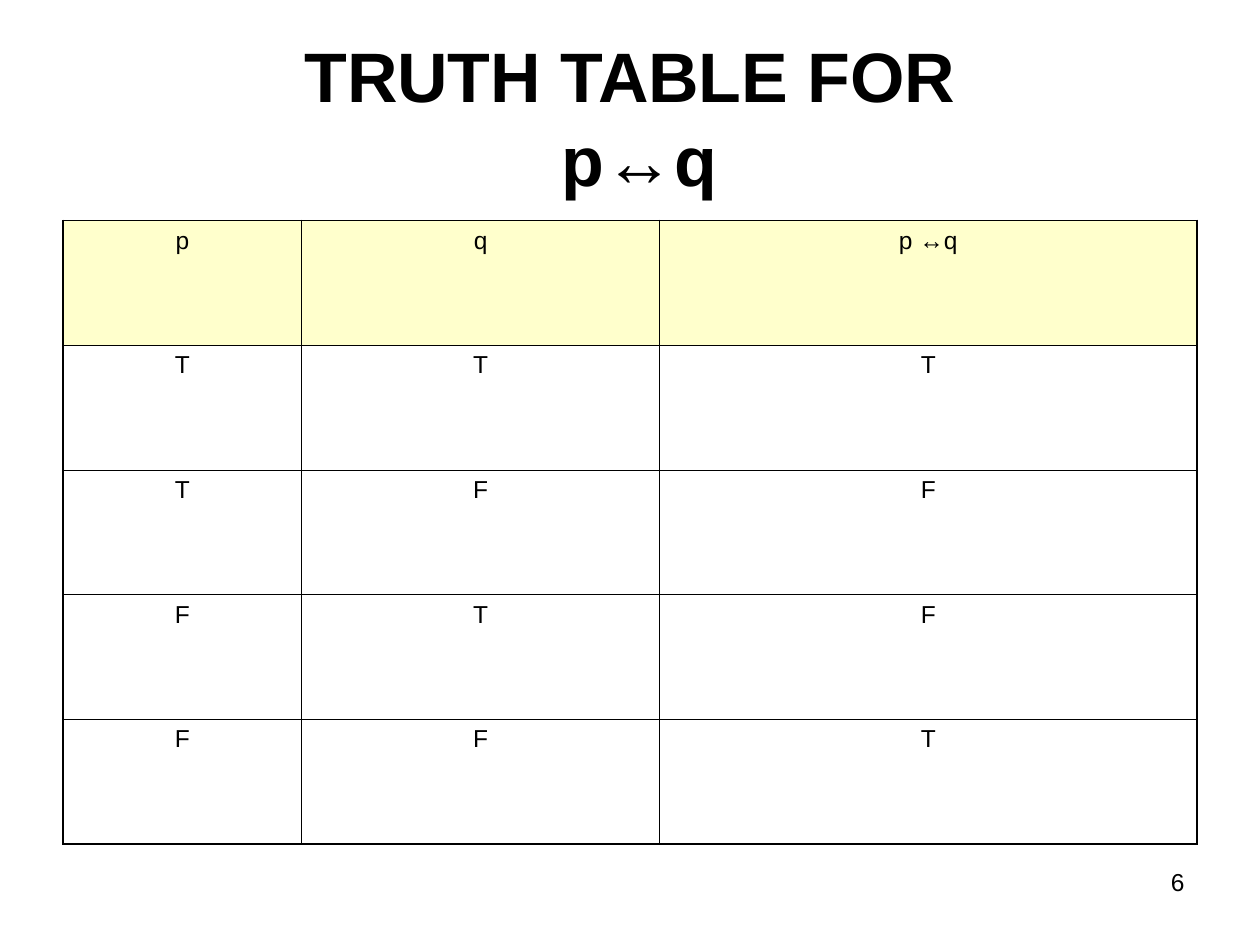
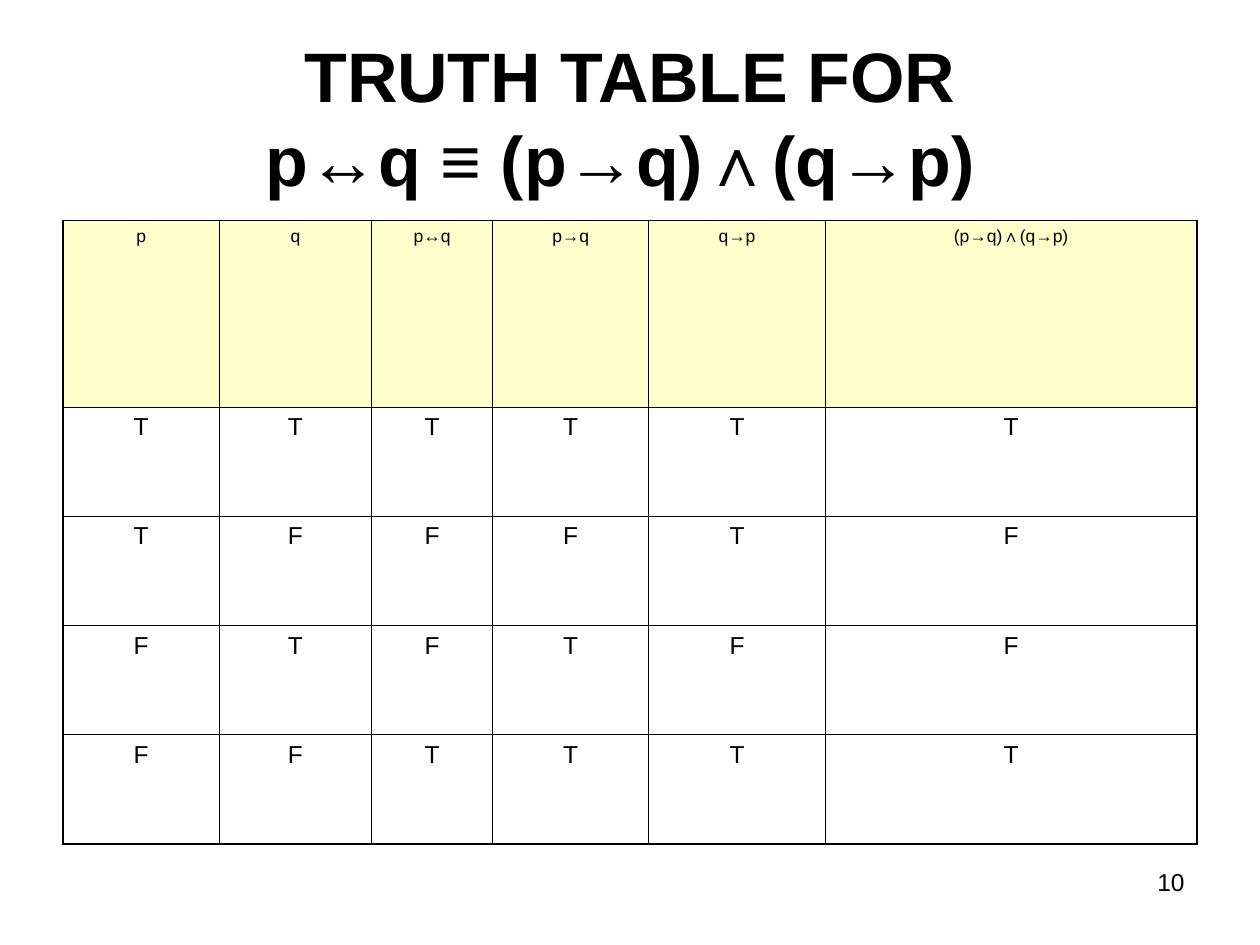
from lxml.etree import SubElement
from pptx import Presentation
from pptx.dml.color import RGBColor
from pptx.enum.text import MSO_ANCHOR, PP_ALIGN
from pptx.oxml.ns import qn
from pptx.util import Pt

BLACK = RGBColor(0x00, 0x00, 0x00)
HEADER_YELLOW = RGBColor(0xFF, 0xFF, 0xCC)
FONT = "Arial"
BODY_SIZE = 14
OUTER_LINE, INNER_LINE = 1.08, 0.45

# Boxes shared by all slides: left, top, width, height in points
TITLE_BOX = (36, 21.6, 648, 90)
TABLE_BOX = (36, 126, 648, 356.4)
NUMBER_BOX = (516.24, 491.76, 167.76, 37.44)


def write(frame, text, size, align, bold=False):
    para = frame.paragraphs[0]
    para.text = text
    para.alignment = align
    para.font.name = FONT
    para.font.size = Pt(size)
    para.font.bold = bold
    para.font.color.rgb = BLACK


def add_text_frame(page, box):
    frame = page.shapes.add_textbox(*map(Pt, box)).text_frame
    frame.word_wrap = True
    return frame


def add_title(page, box, formula):
    frame = add_text_frame(page, box)
    frame.vertical_anchor = MSO_ANCHOR.MIDDLE
    frame.margin_left = frame.margin_right = 0
    frame.margin_top = frame.margin_bottom = 0
    write(frame, "TRUTH TABLE FOR\v" + formula, 40, PP_ALIGN.CENTER, bold=True)


def add_page_number(page, box, number):
    write(add_text_frame(page, box), str(number), BODY_SIZE, PP_ALIGN.RIGHT)


def set_borders(cell, outer_sides):
    """Draw four borders, heavier on the sides at the table's edge."""
    properties = cell._tc.get_or_add_tcPr()
    for side in "LRTB":
        weight = OUTER_LINE if side in outer_sides else INNER_LINE
        line = SubElement(properties, qn("a:ln" + side), w=str(int(Pt(weight))))
        fill = SubElement(line, qn("a:solidFill"))
        SubElement(fill, qn("a:srgbClr"), val=str(BLACK))


def add_truth_table(page, box, headings, rows, column_shares,
                    header_height, header_size):
    left, top, width, height = box
    lines = [headings, *rows]
    table = page.shapes.add_table(
        len(lines), len(headings), Pt(left), Pt(top), Pt(width), Pt(height)).table
    table.first_row = table.horz_banding = False

    # Column widths by share, equal rows below the header
    for column, share in zip(table.columns, column_shares):
        column.width = Pt(width * share / sum(column_shares))
    for index, row in enumerate(table.rows):
        row.height = Pt((height - header_height) / len(rows) if index else header_height)

    last_row, last_column = len(lines) - 1, len(headings) - 1
    for r, line in enumerate(lines):
        for c, text in enumerate(line):
            cell = table.cell(r, c)
            edges = {"T": r == 0, "B": r == last_row,
                     "L": c == 0, "R": c == last_column}
            set_borders(cell, [side for side in edges if edges[side]])
            if r == 0:
                cell.fill.solid()
                cell.fill.fore_color.rgb = HEADER_YELLOW
            else:
                cell.fill.background()
            write(cell.text_frame, text, BODY_SIZE if r else header_size,
                  PP_ALIGN.CENTER)


def add_truth_slide(deck, number, formula, **table_parts):
    page = deck.slides.add_slide(deck.slide_layouts[6])
    add_page_number(page, NUMBER_BOX, number)
    add_title(page, TITLE_BOX, formula)
    add_truth_table(page, TABLE_BOX, **table_parts)


def main():
    deck = Presentation()
    deck.slide_width, deck.slide_height = Pt(720), Pt(540)

    # Biconditional
    add_truth_slide(
        deck, 6, " p↔q",
        headings=["p", "q", "p ↔q"],
        rows=["TTT", "TFF", "FTF", "FFT"],
        column_shares=[4, 6, 9],
        header_height=71.28, header_size=BODY_SIZE)

    # Biconditional as two implications
    add_truth_slide(
        deck, 10, "p↔q ≡ (p→q)∧(q→p) ",
        headings=["p", "q", "p↔q", "p→q", "q→p", "(p→q)∧(q→p)"],
        rows=["TTTTTT", "TFFFTF", "FTFTFF", "FFTTTT"],
        column_shares=[124, 121, 96, 124, 140, 295],
        header_height=106.56, header_size=10)

    deck.save("out.pptx")


if __name__ == "__main__":
    main()
